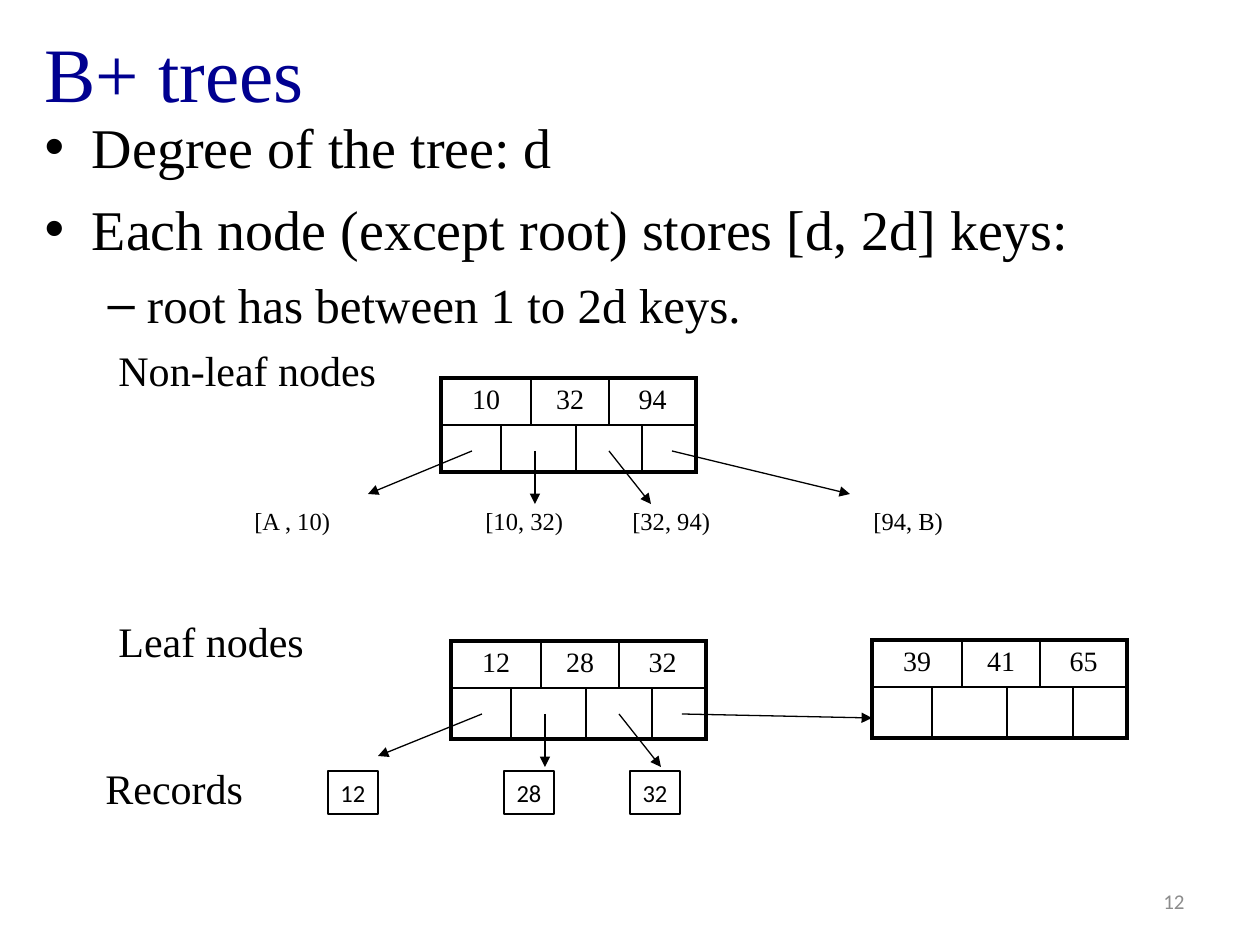
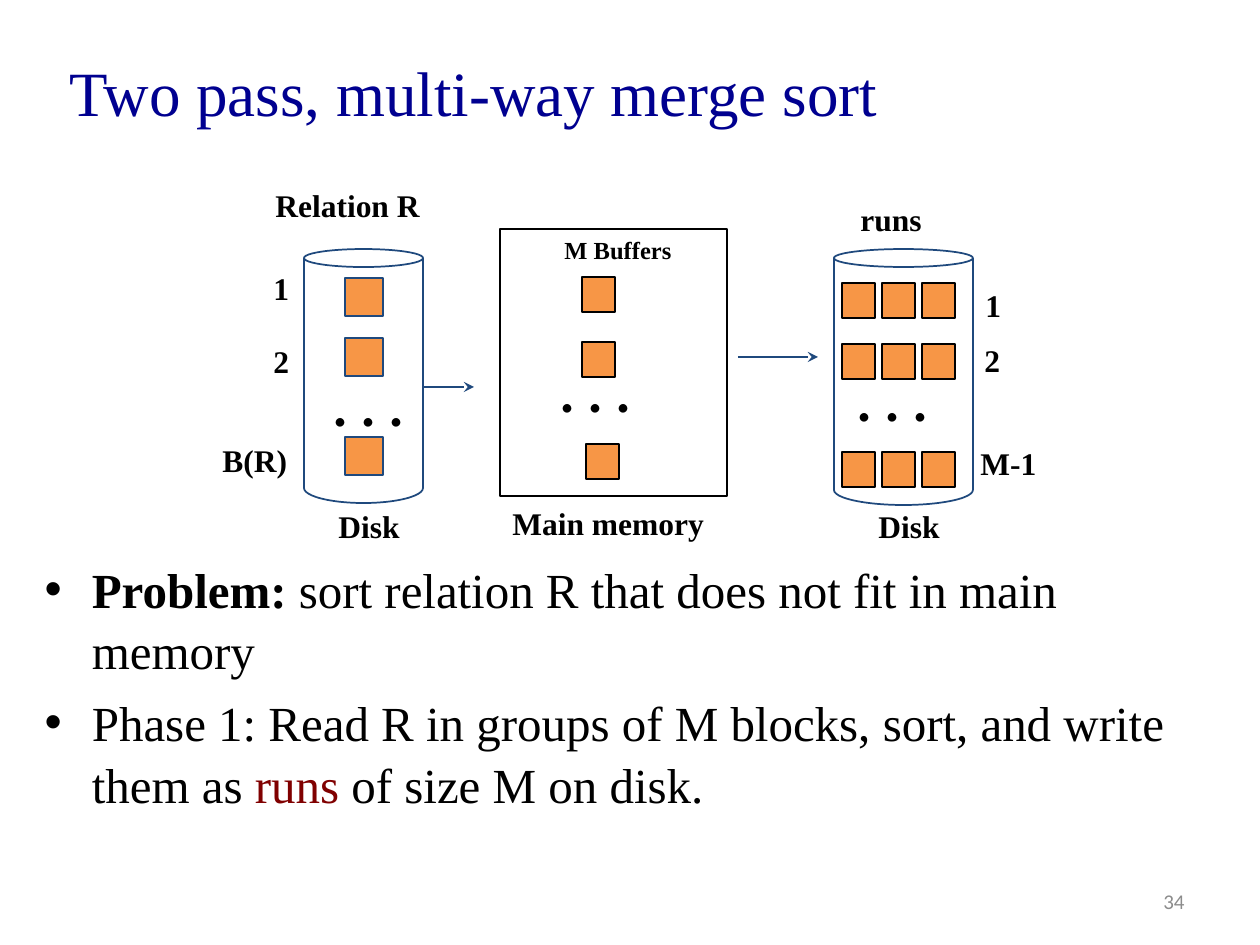
from dataclasses import dataclass

from lxml.etree import SubElement
from pptx import Presentation
from pptx.dml.color import RGBColor
from pptx.enum.shapes import MSO_CONNECTOR, MSO_SHAPE
from pptx.enum.text import MSO_ANCHOR, MSO_AUTO_SIZE, PP_ALIGN
from pptx.oxml.ns import qn
from pptx.util import Pt

EMU_PER_PX = 914400 / 126


@dataclass(frozen=True)
class Theme:
    serif: str = "Times New Roman"
    sans: str = "Calibri"
    dots: str = "TeX Gyre Pagella"
    ink: str = "000000"
    title: str = "000090"
    number: str = "8C8C8C"
    accent: str = "800000"
    disk: str = "1F497D"
    block: str = "F79646"
    body_size: int = 32
    sub_size: int = 28
    heading_size: int = 24
    label_size: int = 18
    key_size: int = 16
    small_size: int = 14
    number_size: int = 12
    thick: float = 2.25
    medium: float = 1
    thin: float = 0.75


THEME = Theme()
NODE_COLUMNS = (60, 27, 45, 33, 33, 54)
KEY_SPANS = ((0, 1), (2, 3), (4, 5))
POINTER_SPANS = ((0, 0), (1, 2), (3, 4), (5, 5))
POINTER_X = (31, 94, 168, 231)
POINTER_Y = 73


def px(*lengths):
    return [round(n * EMU_PER_PX) for n in lengths]


def rgb(color):
    return RGBColor.from_string(color)


def style(p, size, color=THEME.ink, font=THEME.serif, bold=None):
    p.font.name = font
    p.font.size = Pt(size)
    p.font.bold = bold
    p.font.color.rgb = rgb(color)


def place(sp, box):
    sp.left, sp.top, sp.width, sp.height = px(*box)


def add_text(slide, words, box, size, **look):
    tf = slide.shapes.add_textbox(*px(*box)).text_frame
    p = tf.paragraphs[0]
    p.text = words
    style(p, size, **look)
    return tf


def add_slide(prs, title, box, size, number):
    slide = prs.slides.add_slide(prs.slide_layouts[1])
    sp = slide.shapes.title
    place(sp, box)
    tf = sp.text_frame
    tf.vertical_anchor = MSO_ANCHOR.MIDDLE
    p = tf.paragraphs[0]
    p.text = title
    p.alignment = PP_ALIGN.LEFT
    style(p, size, THEME.title)

    tf = add_text(slide, number, (903, 876, 294, 50), THEME.number_size,
                  color=THEME.number, font=THEME.sans)
    tf.word_wrap = True
    tf.vertical_anchor = MSO_ANCHOR.MIDDLE
    tf.paragraphs[0].alignment = PP_ALIGN.RIGHT
    return slide


def fill_body(slide, box, items):
    """Each item is (level, size, runs); a run is (words, bold, color)."""
    sp = slide.placeholders[1]
    place(sp, box)
    tf = sp.text_frame
    tf.auto_size = MSO_AUTO_SIZE.NONE
    for i, (level, size, runs) in enumerate(items):
        p = tf.add_paragraph() if i else tf.paragraphs[0]
        p.level = level
        p.line_spacing = 1.05
        if i == 0:
            p.space_before = Pt(0)
        style(p, size)
        for words, bold, color in runs:
            r = p.add_run()
            r.text = words
            if bold:
                r.font.bold = True
            if color:
                r.font.color.rgb = rgb(color)


def add_shape(slide, kind, box, line, width=THEME.medium, fill=None):
    sp = slide.shapes.add_shape(kind, *px(*box))
    sp.shadow.inherit = False
    if fill:
        sp.fill.solid()
        sp.fill.fore_color.rgb = rgb(fill)
    else:
        sp.fill.background()
    sp.line.color.rgb = rgb(line)
    sp.line.width = Pt(width)
    return sp


def add_line(slide, start, end, color, width, arrow=None):
    cx = slide.shapes.add_connector(MSO_CONNECTOR.STRAIGHT, *px(*start, *end))
    cx.line.color.rgb = rgb(color)
    cx.line.width = Pt(width)
    if arrow:
        SubElement(cx.line._get_or_add_ln(), qn("a:tailEnd"), type=arrow)
    SubElement(cx._element.spPr, qn("a:effectLst"))


def set_borders(cell, widths):
    """Draw the left, right, top and bottom borders in the given points."""
    tcPr = cell._tc.get_or_add_tcPr()
    for side, width in zip("LRTB", widths):
        ln = SubElement(tcPr, qn(f"a:ln{side}"), w=str(Pt(width)))
        fill = SubElement(ln, qn("a:solidFill"))
        SubElement(fill, qn("a:srgbClr"), val=THEME.ink)


def add_node(slide, left, top, keys, row_heights, pointer_ends=()):
    """Draw keys over pointer cells, with an arrow to each pointer end."""
    box = px(left, top, sum(NODE_COLUMNS), sum(row_heights))
    table = slide.shapes.add_table(2, len(NODE_COLUMNS), *box).table
    table.first_row = table.horz_banding = False
    for column, width in zip(table.columns, px(*NODE_COLUMNS)):
        column.width = width
    for row, height in zip(table.rows, px(*row_heights)):
        row.height = height

    last_column = len(NODE_COLUMNS) - 1
    for row, spans in enumerate((KEY_SPANS, POINTER_SPANS)):
        for i, (first, last) in enumerate(spans):
            cell = table.cell(row, first)
            if last > first:
                cell.merge(table.cell(row, last))
            outer = (first == 0, last == last_column, row == 0, row == 1)
            set_borders(cell, [THEME.thick if o else THEME.medium for o in outer])
            cell.fill.background()
            p = cell.text_frame.paragraphs[0]
            if row == 0:
                p.text = keys[i]
            p.alignment = PP_ALIGN.CENTER
            style(p, THEME.key_size)

    for x, end in zip(POINTER_X, pointer_ends):
        add_line(slide, (left + x, top + POINTER_Y), end, THEME.ink,
                 THEME.thin, "triangle")


def add_record(slide, key, left):
    sp = add_shape(slide, MSO_SHAPE.RECTANGLE, (left, 771, 50, 43),
                   THEME.ink, THEME.thin)
    tf = sp.text_frame
    tf.word_wrap = False
    tf.vertical_anchor = MSO_ANCHOR.MIDDLE
    p = tf.paragraphs[0]
    p.text = key
    p.alignment = PP_ALIGN.CENTER
    style(p, THEME.small_size, font=THEME.sans)


def add_disk(slide, left, width, bottom):
    """Draw an open cylinder: a rim, two sides and a lower arc."""
    add_shape(slide, MSO_SHAPE.OVAL, (left, 249, width, 18), THEME.disk)
    for x in (left, left + width):
        add_line(slide, (x, 258), (x, bottom), THEME.disk, THEME.medium)
    arc = add_shape(slide, MSO_SHAPE.ARC, (left, bottom - 15, width, 30), THEME.disk)
    arc.adjustments[0] = 0
    arc.adjustments[1] = 108  # 180 degrees


def add_block(slide, left, top, width=33, height=35, line=THEME.ink):
    add_shape(slide, MSO_SHAPE.RECTANGLE, (left, top, width, height), line,
              fill=THEME.block)


def build_trees(prs):
    slide = add_slide(prs, "B+ trees", (32, 6, 1203, 131), 44, "12")
    fill_body(slide, (32, 103, 1203, 823), [
        (0, THEME.body_size, [("Degree of the tree: d", False, None)]),
        (0, THEME.body_size,
         [("Each node (except root) stores [d, 2d] keys:", False, None)]),
        (1, THEME.sub_size, [("root has between 1 to 2d keys.", False, None)]),
    ])
    for words, left, top in (("Non-leaf nodes", 106, 338),
                             ("Leaf nodes", 106, 609), ("Records", 93, 756)):
        add_text(slide, words, (left, top, 335, 63), THEME.heading_size).word_wrap = True

    add_node(slide, 441, 378, ("10", "32", "94"), (47, 47),
             ((368, 494), (535, 504), (651, 504), (850, 494)))
    for words, left, width in (("[A , 10)", 242, 102), ("[10, 32)", 473, 103),
                               ("[32, 94)", 620, 103), ("[94, B)", 861, 96)):
        add_text(slide, words, (left, 500, width, 43), THEME.small_size)

    add_node(slide, 451, 641, ("12", "28", "32"), (47, 51),
             ((378, 756), (545, 767), (661, 767), (872, 718)))
    add_node(slide, 872, 640, ("39", "41", "65"), (47, 51))
    for key, left in (("12", 328), ("28", 504), ("32", 630)):
        add_record(slide, key, left)


def build_merge_sort(prs):
    slide = add_slide(prs, "Two pass, multi-way merge sort",
                      (57, 23, 1203, 136), 36, "34")
    fill_body(slide, (32, 550, 1203, 376), [
        (0, THEME.sub_size, [
            ("Problem:", True, None),
            (" sort relation R that does not fit in main memory", False, None)]),
        (0, THEME.sub_size, [
            ("Phase 1: Read R in groups of M blocks, sort, and write them as ",
             False, None),
            ("runs ", False, THEME.accent),
            ("of size M on disk.", False, None)]),
    ])

    add_shape(slide, MSO_SHAPE.RECTANGLE, (500, 229, 227, 267), THEME.ink)
    add_disk(slide, 304, 119, 488)
    add_disk(slide, 834, 139, 490)

    for top in (278, 338, 437):
        add_block(slide, 345, top, 38, 38, THEME.disk)
    for left, top in ((582, 277), (582, 342), (586, 444)):
        add_block(slide, left, top)
    for top in (283, 344, 452):
        for column in range(3):
            add_block(slide, 842 + 40 * column, top)

    for start, end, y in ((423, 474, 387), (738, 818, 357)):
        add_line(slide, (start, y), (end, y), THEME.disk, THEME.medium, "stealth")

    for words, left, top, width in (
            ("Relation R", 263, 180, 170), ("runs", 848, 194, 87),
            ("Disk", 326, 501, 87), ("Main memory", 500, 498, 219),
            ("Disk", 866, 501, 87),
            ("1", 261, 263, 42), ("2", 261, 336, 42), ("B(R)", 210, 435, 91),
            ("1", 973, 280, 42), ("2", 972, 335, 42), ("M-1", 968, 438, 82)):
        add_text(slide, words, (left, top, width, 50), THEME.label_size, bold=True)
    add_text(slide, "M Buffers", (552, 229, 134, 43), THEME.small_size, bold=True)
    for left, top in ((321, 364), (548, 350), (845, 359)):
        add_text(slide, ". . .", (left, top, 96, 81), THEME.body_size,
                 font=THEME.dots, bold=True)


def main():
    prs = Presentation()
    prs.slide_width, prs.slide_height = px(1260, 945)
    build_trees(prs)
    build_merge_sort(prs)
    prs.save("out.pptx")


if __name__ == "__main__":
    main()
